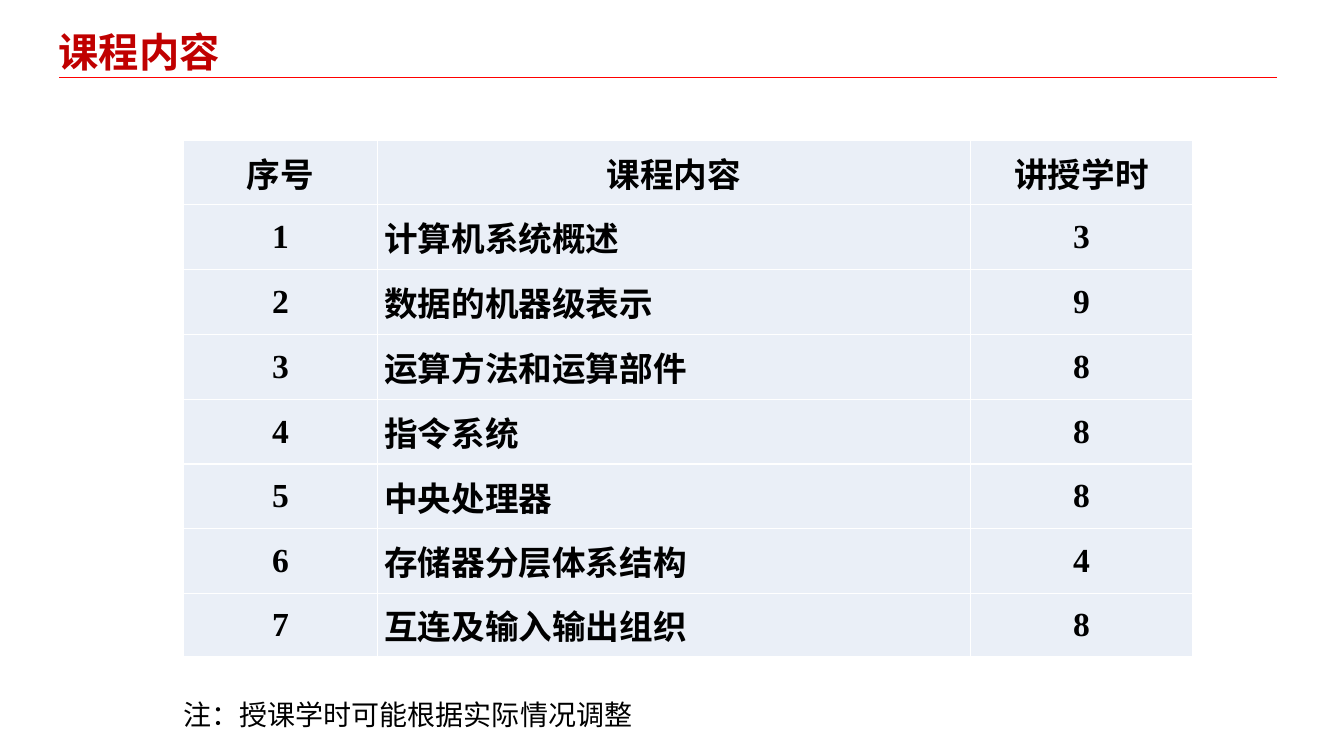
from lxml import etree
from pptx import Presentation
from pptx.dml.color import RGBColor
from pptx.enum import shapes, text
from pptx.oxml import ns
from pptx.util import Pt

TITLE = "课程内容"
HEADER = ("序号", "课程内容", "讲授学时")
COURSES = [
    ("计算机系统概述", 3),
    ("数据的机器级表示", 9),
    ("运算方法和运算部件", 8),
    ("指令系统", 8),
    ("中央处理器", 8),
    ("存储器分层体系结构", 4),
    ("互连及输入输出组织", 8),
]
NOTE = "注：授课学时可能根据实际情况调整"

CJK_FONT = "Noto Sans CJK SC"
LATIN_FONT = "Times New Roman"
DARK_RED = RGBColor(0xC0, 0x00, 0x00)
RED = RGBColor(0xFF, 0x00, 0x00)
BLACK = RGBColor(0x00, 0x00, 0x00)
PALE_BLUE = RGBColor(0xEA, 0xEF, 0xF7)
WHITE = RGBColor(0xFF, 0xFF, 0xFF)

TABLE_LEFT, TABLE_TOP = 131.3, 100
COLUMN_WIDTHS = (138.2, 423.8, 158.4)
ROW_HEIGHT, LAST_ROW_HEIGHT = 46.3, 45


def add_text(para, words, size, color, latin=LATIN_FONT, bold=False):
    span = para.add_run()
    span.text = words
    span.font.size = Pt(size)
    span.font.bold = bold
    span.font.color.rgb = color
    span.font.name = latin
    east_asian = etree.SubElement(span.font._element, ns.qn("a:ea"))
    east_asian.set("typeface", CJK_FONT)


def add_borders(cell, color, width):
    properties = cell._tc.get_or_add_tcPr()
    for index, side in enumerate(("lnL", "lnR", "lnT", "lnB")):
        border = etree.Element(ns.qn("a:" + side), w=str(Pt(width)))
        fill = etree.SubElement(border, ns.qn("a:solidFill"))
        etree.SubElement(fill, ns.qn("a:srgbClr"), val=str(color))
        properties.insert(index, border)


def add_title(page):
    title = page.shapes.title
    title.left, title.top = Pt(34.6), Pt(19.4)
    title.width, title.height = Pt(877), Pt(39.6)
    frame = title.text_frame
    frame.vertical_anchor = text.MSO_ANCHOR.MIDDLE
    frame.auto_size = text.MSO_AUTO_SIZE.NONE
    para = frame.paragraphs[0]
    para.alignment = text.PP_ALIGN.LEFT
    para.line_spacing = 0.87
    add_text(para, TITLE, 28.8, DARK_RED, CJK_FONT, True)


def add_rule(page):
    rule = page.shapes.add_connector(
        shapes.MSO_CONNECTOR.STRAIGHT, Pt(42.5), Pt(55.6), Pt(912.2), Pt(55.6))
    rule.line.color.rgb = RED
    rule.line.width = Pt(0.75)
    etree.SubElement(rule._element.spPr, ns.qn("a:effectLst"))


def add_course_table(page):
    rows = [HEADER] + [(number, name, hours)
                       for number, (name, hours) in enumerate(COURSES, 1)]
    heights = [ROW_HEIGHT] * len(COURSES) + [LAST_ROW_HEIGHT]
    table = page.shapes.add_table(
        len(rows), len(HEADER), Pt(TABLE_LEFT), Pt(TABLE_TOP),
        Pt(sum(COLUMN_WIDTHS)), Pt(sum(heights))).table
    for column, width in zip(table.columns, COLUMN_WIDTHS):
        column.width = Pt(width)
    for row, height in zip(table.rows, heights):
        row.height = Pt(height)
    for r, values in enumerate(rows):
        for c, value in enumerate(values):
            cell = table.cell(r, c)
            cell.fill.solid()
            cell.fill.fore_color.rgb = PALE_BLUE
            add_borders(cell, WHITE, 1)
            cell.margin_left = cell.margin_right = Pt(5)
            cell.margin_top = cell.margin_bottom = 0
            cell.vertical_anchor = text.MSO_ANCHOR.MIDDLE
            para = cell.text_frame.paragraphs[0]
            is_name = r > 0 and c == 1
            para.alignment = text.PP_ALIGN.LEFT if is_name else text.PP_ALIGN.CENTER
            add_text(para, str(value), 24, BLACK, bold=True)


def add_note(page):
    box = page.shapes.add_textbox(Pt(124), Pt(494.6), Pt(337.7), Pt(31.7))
    box.text_frame.word_wrap = False
    box.text_frame.auto_size = text.MSO_AUTO_SIZE.SHAPE_TO_FIT_TEXT
    add_text(box.text_frame.paragraphs[0], NOTE, 20, BLACK)


def main():
    deck = Presentation()
    deck.slide_width, deck.slide_height = Pt(960), Pt(540)
    page = deck.slides.add_slide(deck.slide_layouts[5])
    add_rule(page)
    add_title(page)
    add_course_table(page)
    add_note(page)
    deck.save("out.pptx")


if __name__ == "__main__":
    main()
